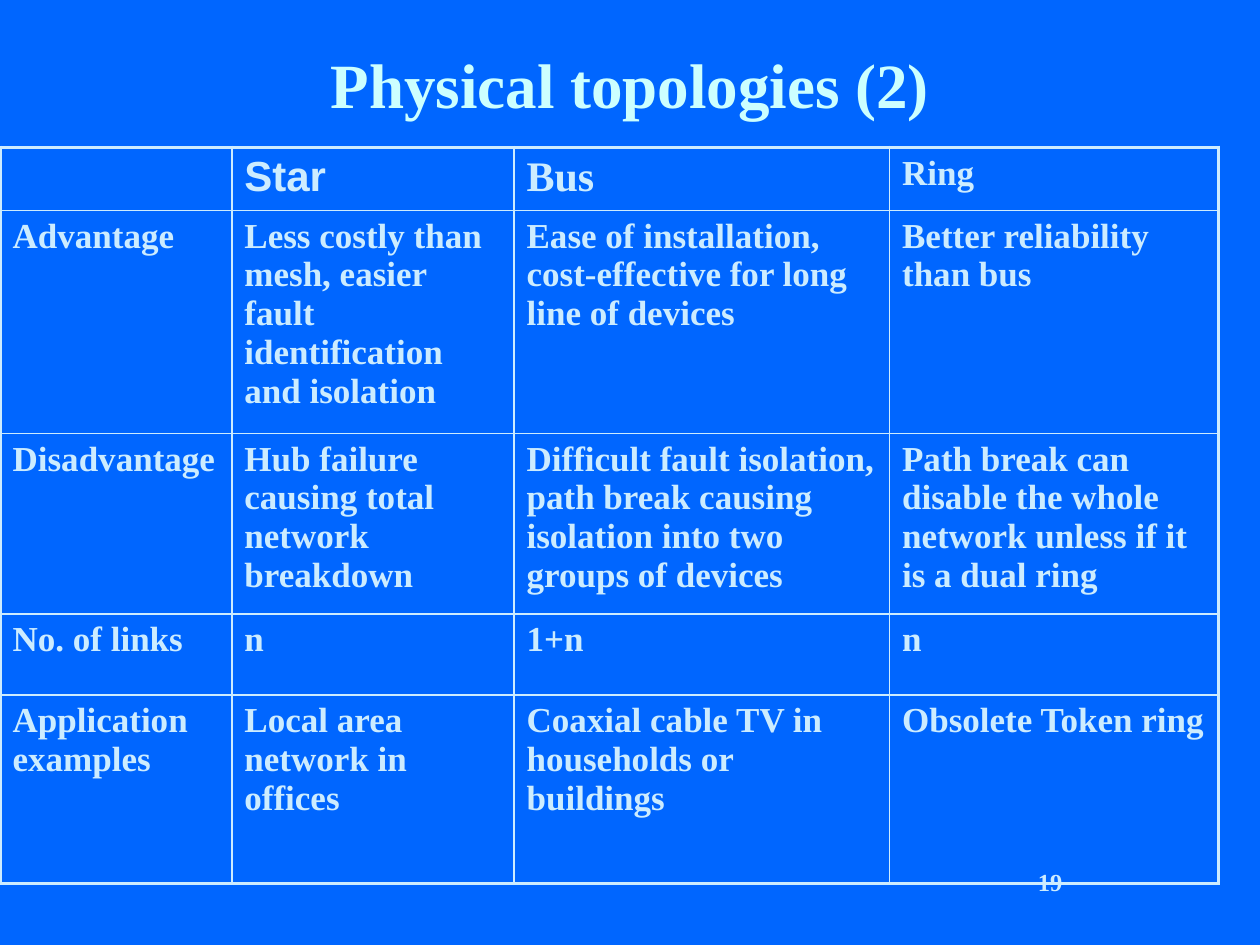
from dataclasses import dataclass

from lxml import etree
from pptx import Presentation
from pptx import util as u
from pptx.dml.color import RGBColor
from pptx.enum import text
from pptx.oxml.ns import qn


@dataclass(frozen=True)
class Theme:
    background: str = "0066FF"
    title: str = "CCFFFF"
    body: str = "CCECFF"
    serif: str = "Times New Roman"
    sans: str = "Arial"
    title_size: float = 36
    heading_size: float = 24
    body_size: float = 20
    number_size: float = 14
    outer_line: float = 2.25
    inner_line: float = 1


THEME = Theme()
COLUMN_WIDTHS = [1.84, 2.24, 2.98, 2.61]
ROW_HEIGHTS = [0.5, 1.77, 1.43, 0.64, 1.5]
TOPOLOGIES = [
    ["", "Star", "Bus", "Ring"],
    ["Advantage",
     "Less costly than mesh, easier fault identification and isolation",
     "Ease of installation, cost-effective for long line of devices",
     "Better reliability than bus"],
    ["Disadvantage",
     "Hub failure causing total network breakdown",
     "Difficult fault isolation, path break causing isolation into two groups of devices",
     "Path break can disable the whole network unless if it is a dual ring"],
    ["No. of links", "n", "1+n", "n"],
    ["Application examples",
     "Local area network in offices",
     "Coaxial cable TV in households or buildings",
     "Obsolete Token ring"],
]
# Headings that differ from the body style: (font, size)
HEADING_STYLES = {
    "Star": (THEME.sans, THEME.heading_size),
    "Bus": (THEME.serif, THEME.heading_size),
}


def style_paragraph(paragraph, size, color, font_name=THEME.serif, alignment=None):
    font = paragraph.font
    font.name, font.size, font.bold = font_name, u.Pt(size), True
    font.color.rgb = RGBColor.from_string(color)
    paragraph.alignment = alignment


def add_title(slide, box, wording):
    title = slide.shapes.title
    title.left, title.top, title.width, title.height = map(u.Inches, box)
    title.text_frame.text = wording
    title.text_frame.vertical_anchor = text.MSO_ANCHOR.MIDDLE
    style_paragraph(title.text_frame.paragraphs[0], THEME.title_size, THEME.title,
                    alignment=text.PP_ALIGN.CENTER)


def set_borders(cell, widths):
    """Draw the left, right, top and bottom borders, in the order the schema asks for."""
    properties = cell._tc.get_or_add_tcPr()
    for position, (side, width) in enumerate(widths.items()):
        line = etree.Element(qn(f"a:ln{side}"), w=str(u.Pt(width)))
        fill = etree.SubElement(line, qn("a:solidFill"))
        etree.SubElement(fill, qn("a:srgbClr"), val=THEME.body)
        properties.insert(position, line)


def add_topology_table(slide, left, top):
    row_count, column_count = len(ROW_HEIGHTS), len(COLUMN_WIDTHS)
    table = slide.shapes.add_table(
        row_count, column_count, u.Inches(left), u.Inches(top),
        u.Inches(sum(COLUMN_WIDTHS)), u.Inches(sum(ROW_HEIGHTS))).table
    table.first_row = table.horz_banding = False
    for column, width in zip(table.columns, COLUMN_WIDTHS):
        column.width = u.Inches(width)
    for row, height in zip(table.rows, ROW_HEIGHTS):
        row.height = u.Inches(height)

    for r, wordings in enumerate(TOPOLOGIES):
        for c, wording in enumerate(wordings):
            cell = table.cell(r, c)
            cell.text = wording
            cell.fill.background()
            font_name, size = HEADING_STYLES.get(wording, (THEME.serif, THEME.body_size))
            style_paragraph(cell.text_frame.paragraphs[0], size, THEME.body, font_name)
            # Outer edges are heavier than the inner grid
            outer = {"L": c == 0, "R": c == column_count - 1,
                     "T": r == 0, "B": r == row_count - 1}
            set_borders(cell, {side: THEME.outer_line if edge else THEME.inner_line
                               for side, edge in outer.items()})


def add_page_number(slide, box, number):
    frame = slide.shapes.add_textbox(*map(u.Inches, box)).text_frame
    frame.word_wrap = True
    frame.text = str(number)
    style_paragraph(frame.paragraphs[0], THEME.number_size, THEME.body,
                    alignment=text.PP_ALIGN.CENTER)


def main():
    presentation = Presentation()
    presentation.slide_width, presentation.slide_height = u.Inches(10), u.Inches(7.5)
    title_only = presentation.slide_layouts.get_by_name("Title Only")
    slide = presentation.slides.add_slide(title_only)
    slide.background.fill.solid()
    slide.background.fill.fore_color.rgb = RGBColor.from_string(THEME.background)

    add_page_number(slide, (7.17, 6.83, 2.33, 0.5), 19)
    add_title(slide, (0.5, 0.25, 9, 0.83), "Physical topologies (2)")
    add_topology_table(slide, 0, 1.17)
    presentation.save("out.pptx")


if __name__ == "__main__":
    main()
